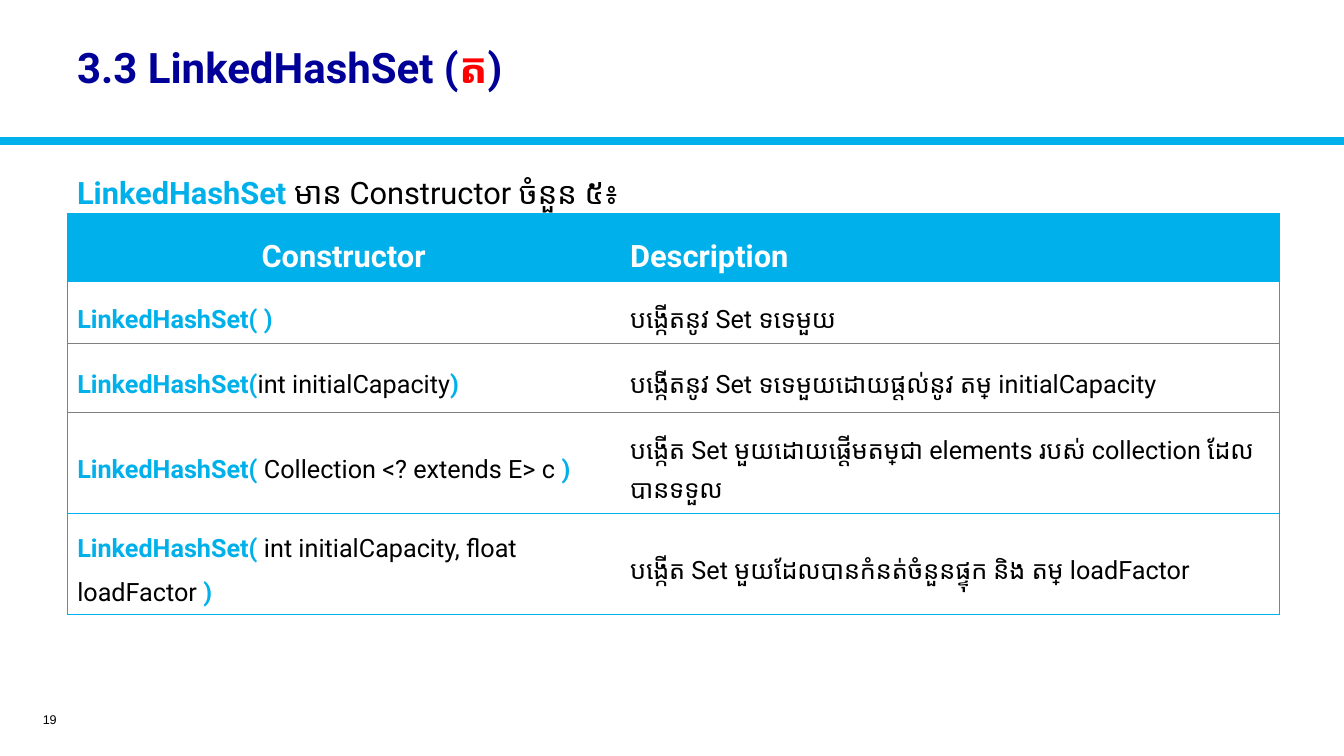
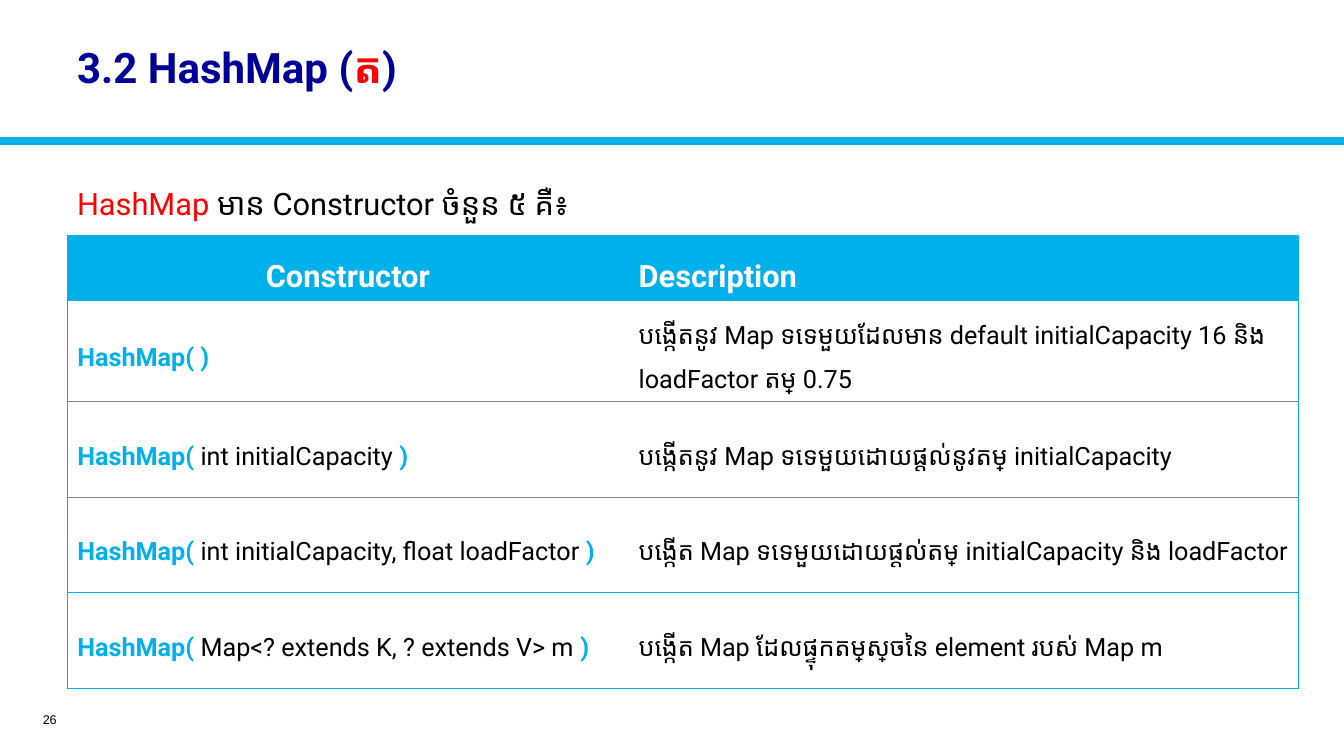
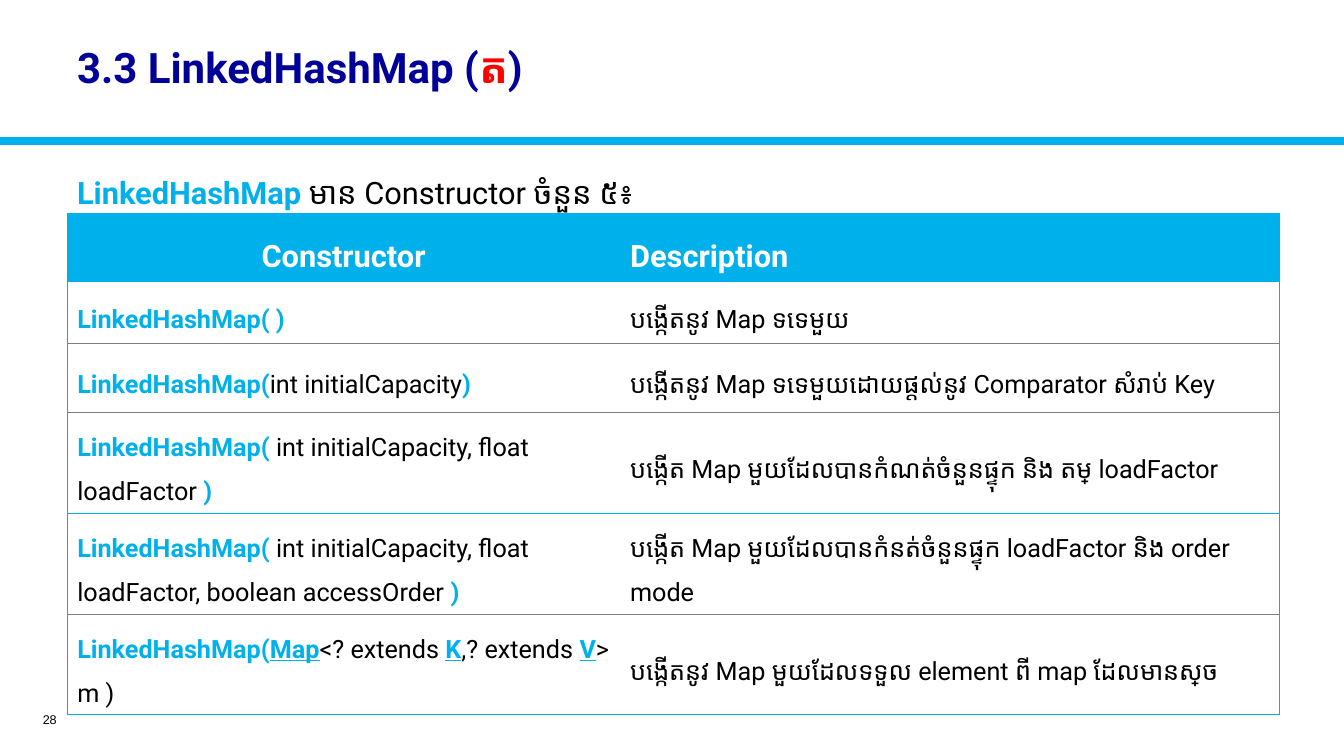
from dataclasses import dataclass
from typing import Optional

import lxml.etree
import pptx
import pptx.dml.color
import pptx.enum.shapes
import pptx.enum.text
import pptx.oxml.ns
import pptx.util

Align = pptx.enum.text.PP_ALIGN
Anchor = pptx.enum.text.MSO_ANCHOR
qn = pptx.oxml.ns.qn

SLIDE_WIDTH = pptx.util.Inches(13.33)
SLIDE_HEIGHT = pptx.util.Inches(7.5)


@dataclass(frozen=True)
class Theme:
    accent: str = "00B0EA"
    heading: str = "000099"
    highlight: str = "FF0000"
    ink: str = "000000"
    paper: str = "FFFFFF"
    rule: str = "7F7F7F"
    font: str = "Roboto"
    number_font: str = "Arial"
    title_size: float = 30
    lead_size: float = 22
    cell_size: float = 18
    number_size: float = 9
    band_width: float = 6
    border_width: float = 0.5
    line_spacing: float = 1.5


THEME = Theme()


@dataclass(frozen=True)
class Style:
    color: str
    bold: bool = False
    underline: bool = False


PLAIN = Style(THEME.ink)
CODE = Style(THEME.accent, bold=True)
LINKED = Style(THEME.accent, bold=True, underline=True)
TITLE = Style(THEME.heading, bold=True)
MARKED = Style(THEME.highlight, bold=True)
RED = Style(THEME.highlight)
HEADER = Style(THEME.paper, bold=True)


@dataclass(frozen=True)
class Run:
    text: str
    style: Style = PLAIN


@dataclass(frozen=True)
class Box:
    """Position and size in hundredths of the slide's width and height."""
    left: float
    top: float
    width: float
    height: float

    def emu(self) -> tuple[int, int, int, int]:
        return across(self.left), down(self.top), across(self.width), down(self.height)


@dataclass(frozen=True)
class Constructor:
    signature: list[Run]
    description: str


@dataclass(frozen=True)
class Page:
    number: int
    section: str
    class_name: str
    name_style: Style
    lead: str
    lead_top: float
    table_top: float
    table_width: float
    row_heights: list[float]
    constructors: list[Constructor]


LEFT = 5
BAND_TOP = 18.67
TITLE_BOX = Box(LEFT, 1.87, 90.2, 14.8)
NUMBER_BOX = Box(0.68, 93.2, 4.28, 4)
LEAD_HEIGHT = 70.27
FIRST_COLUMN_SHARE = 0.456


def across(share: float) -> int:
    return round(SLIDE_WIDTH * share / 100)


def down(share: float) -> int:
    return round(SLIDE_HEIGHT * share / 100)


def rgb(color: str) -> pptx.dml.color.RGBColor:
    return pptx.dml.color.RGBColor.from_string(color)


def write(frame, runs: list[Run], size: float, font: str = THEME.font, **layout) -> None:
    """Fill the first paragraph; layout holds paragraph attributes."""
    paragraph = frame.paragraphs[0]
    for attribute, value in layout.items():
        setattr(paragraph, attribute, value)
    for part in runs:
        run = paragraph.add_run()
        run.text = part.text
        formats = {"name": font, "size": pptx.util.Pt(size),
                   "bold": part.style.bold, "underline": part.style.underline}
        for attribute, value in formats.items():
            setattr(run.font, attribute, value)
        run.font.color.rgb = rgb(part.style.color)


def add_text(slide, box: Box, runs: list[Run], size: float,
             anchor=Anchor.MIDDLE, **layout) -> None:
    frame = slide.shapes.add_textbox(*box.emu()).text_frame
    frame.word_wrap = True
    frame.vertical_anchor = anchor
    write(frame, runs, size, **layout)


def add_band(slide) -> None:
    band = slide.shapes.add_connector(
        pptx.enum.shapes.MSO_CONNECTOR.STRAIGHT,
        0, down(BAND_TOP), SLIDE_WIDTH, down(BAND_TOP))
    band.line.color.rgb = rgb(THEME.accent)
    band.line.width = pptx.util.Pt(THEME.band_width)
    properties = band._element.find(qn("p:spPr"))
    lxml.etree.SubElement(properties, qn("a:effectLst"))


def set_borders(cell, colors: dict[str, Optional[str]]) -> None:
    """Draw the sides L, R, T, B in this order; None hides a side."""
    properties = cell._tc.get_or_add_tcPr()
    for position, (side, color) in enumerate(colors.items()):
        line = lxml.etree.Element(qn(f"a:ln{side}"))
        line.set("w", str(pptx.util.Pt(THEME.border_width)))
        if color is None:
            lxml.etree.SubElement(line, qn("a:noFill"))
        else:
            fill = lxml.etree.SubElement(line, qn("a:solidFill"))
            lxml.etree.SubElement(fill, qn("a:srgbClr")).set("val", color)
        properties.insert(position, line)


def rule_below(row: int, last: int) -> str:
    return THEME.accent if row in (0, 3, last) else THEME.rule


def add_constructor_table(slide, page: Page) -> None:
    rows = [([Run("Constructor", HEADER)], [Run("Description", HEADER)])]
    rows += [(item.signature, [Run(item.description)]) for item in page.constructors]
    last = len(rows) - 1
    box = Box(LEFT, page.table_top, page.table_width, sum(page.row_heights))
    table = slide.shapes.add_table(len(rows), 2, *box.emu()).table
    table.first_row = table.horz_banding = False
    for column, share in zip(table.columns, (FIRST_COLUMN_SHARE, 1 - FIRST_COLUMN_SHARE)):
        column.width = across(page.table_width * share)
    for row, (height, contents) in enumerate(zip(page.row_heights, rows)):
        table.rows[row].height = down(height)
        is_header = row == 0
        for column, runs in enumerate(contents):
            cell = table.cell(row, column)
            cell.vertical_anchor = Anchor.MIDDLE
            cell.fill.solid()
            cell.fill.fore_color.rgb = rgb(THEME.accent if is_header else THEME.paper)
            write(cell.text_frame, runs,
                  THEME.lead_size if is_header else THEME.cell_size,
                  line_spacing=THEME.line_spacing,
                  alignment=Align.CENTER if is_header and column == 0 else Align.LEFT)
            outer_left = THEME.rule if row % 2 else THEME.accent
            set_borders(cell, {
                "L": outer_left if column == 0 else None,
                "R": THEME.accent if column == 1 else None,
                "T": THEME.accent if is_header else rule_below(row - 1, last),
                "B": rule_below(row, last),
            })


def add_page(deck, page: Page) -> None:
    slide = deck.slides.add_slide(deck.slide_layouts[6])
    add_band(slide)
    add_text(slide, TITLE_BOX,
             [Run(f"{page.section} {page.class_name} (", TITLE), Run("ត", MARKED),
              Run(")", TITLE)],
             THEME.title_size, line_spacing=0.9)
    add_text(slide, NUMBER_BOX, [Run(str(page.number))], THEME.number_size,
             font=THEME.number_font, alignment=Align.RIGHT)
    add_text(slide, Box(LEFT, page.lead_top, 90.2, LEAD_HEIGHT),
             [Run(page.class_name + " ", page.name_style), Run(page.lead)],
             THEME.lead_size, anchor=Anchor.TOP,
             line_spacing=THEME.line_spacing, space_before=pptx.util.Pt(16.5))
    add_constructor_table(slide, page)


def call(name: str, arguments: str = "", gap: str = " ") -> list[Run]:
    """Signature with the name and brackets in the accent colour."""
    if not arguments:
        return [Run(f"{name}( )", CODE)]
    return [Run(f"{name}({gap}", CODE), Run(arguments + gap), Run(")", CODE)]


CAPACITY = "int initialCapacity"
CAPACITY_LOAD = "int initialCapacity, float loadFactor"
LINKED_ROWS = [8.93, 8.27, 9.07, 12, 12.8, 12.27]

PAGES = [
    Page(19, "3.3", "LinkedHashSet", CODE, "មាន Constructor ចំនួន ៥៖",
         19.87, 28.27, 90.2, LINKED_ROWS[:5], [
             Constructor(call("LinkedHashSet"), "បង្កើតនូវ Set ទទេមួយ"),
             Constructor(call("LinkedHashSet", CAPACITY, gap=""),
                         "បង្កើតនូវ Set ទទេមួយដោយផ្តល់នូវ តម្លៃ initialCapacity"),
             Constructor(call("LinkedHashSet", "Collection <? extends E> c"),
                         "បង្កើត Set មួយដោយផ្ដើមតម្លៃជា elements របស់ collection ដែលបានទទួល"),
             Constructor(call("LinkedHashSet", CAPACITY_LOAD),
                         "បង្កើត Set មួយដែលបានកំនត់ចំនួនផ្ទុក និង តម្លៃ loadFactor"),
         ]),
    Page(26, "3.2", "HashMap", RED, "មាន Constructor ចំនួន ៥ គឺ៖",
         21.33, 31.07, 91.6, [7.73] + [12.67] * 4, [
             Constructor(call("HashMap"),
                         "បង្កើតនូវ Map ទទេមួយដែលមាន default initialCapacity 16 "
                         "និង loadFactor តម្លៃ 0.75"),
             Constructor(call("HashMap", CAPACITY),
                         "បង្កើតនូវ Map ទទេមួយដោយផ្តល់នូវតម្លៃ initialCapacity"),
             Constructor(call("HashMap", CAPACITY_LOAD),
                         "បង្កើត Map ទទេមួយដោយផ្ដល់តម្លៃ initialCapacity និង loadFactor"),
             Constructor(call("HashMap", "Map<? extends K, ? extends V> m"),
                         "បង្កើត Map ដែលផ្ទុកតម្លៃស្រេចនៃ element របស់ Map m"),
         ]),
    Page(28, "3.3", "LinkedHashMap", CODE, "មាន Constructor ចំនួន ៥៖",
         19.87, 28.27, 90.2, LINKED_ROWS, [
             Constructor(call("LinkedHashMap"), "បង្កើតនូវ Map ទទេមួយ"),
             Constructor(call("LinkedHashMap", CAPACITY, gap=""),
                         "បង្កើតនូវ Map ទទេមួយដោយផ្តល់នូវ Comparator សំរាប់ Key"),
             Constructor(call("LinkedHashMap", CAPACITY_LOAD),
                         "បង្កើត Map មួយដែលបានកំណត់ចំនួនផ្ទុក និង តម្លៃ loadFactor"),
             Constructor(call("LinkedHashMap", CAPACITY_LOAD + ", boolean accessOrder"),
                         "បង្កើត Map មួយដែលបានកំនត់ចំនួនផ្ទុក loadFactor និង order mode"),
             Constructor([Run("LinkedHashMap(", CODE), Run("Map", LINKED),
                          Run("<? extends "), Run("K", LINKED),
                          Run(",? extends "), Run("V", LINKED), Run("> m )")],
                         "បង្កើតនូវ Map មួយដែលទទួល element ពី map ដែលមានស្រេច"),
         ]),
]


def main() -> None:
    deck = pptx.Presentation()
    deck.slide_width, deck.slide_height = SLIDE_WIDTH, SLIDE_HEIGHT
    for page in PAGES:
        add_page(deck, page)
    deck.save("out.pptx")


if __name__ == "__main__":
    main()
